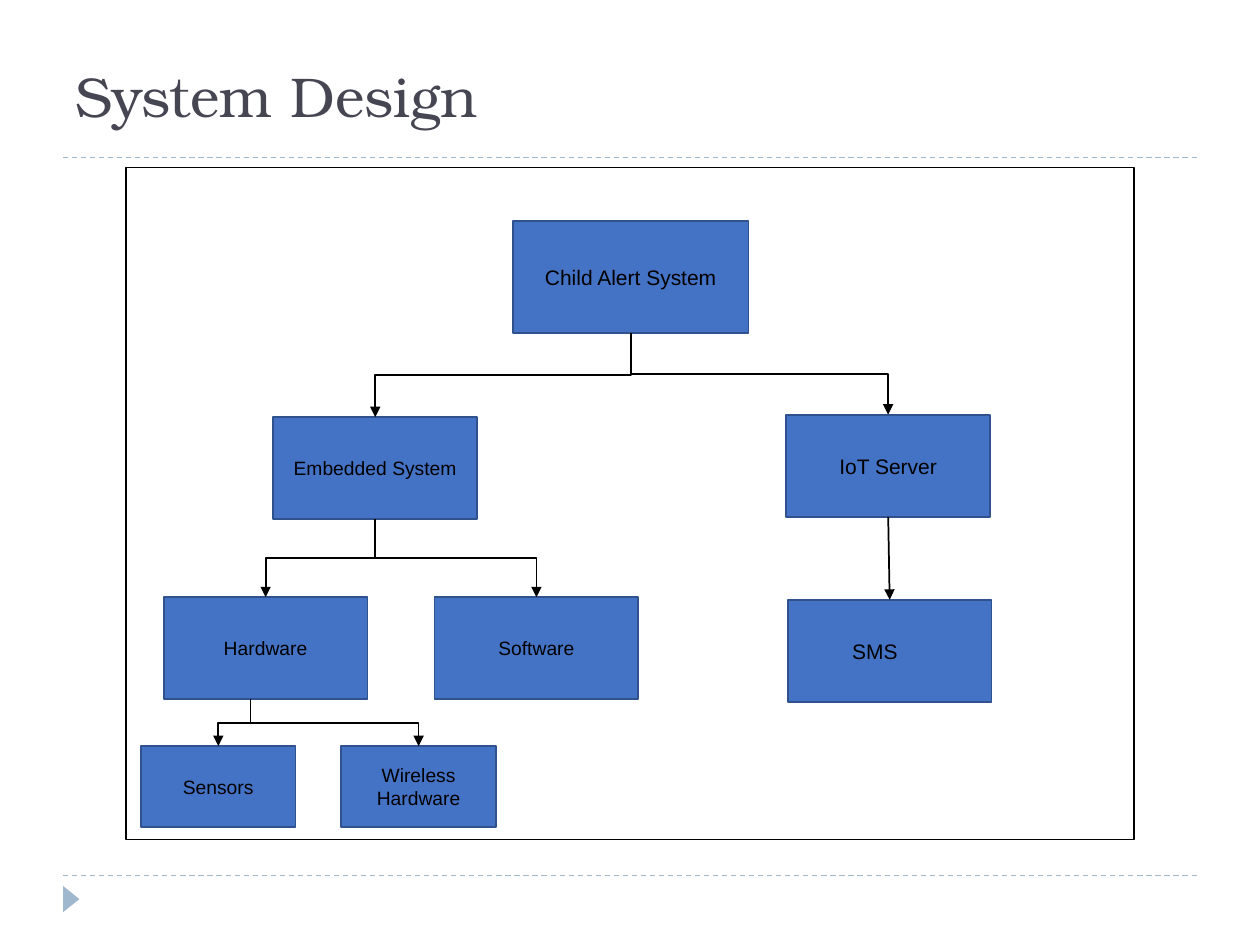
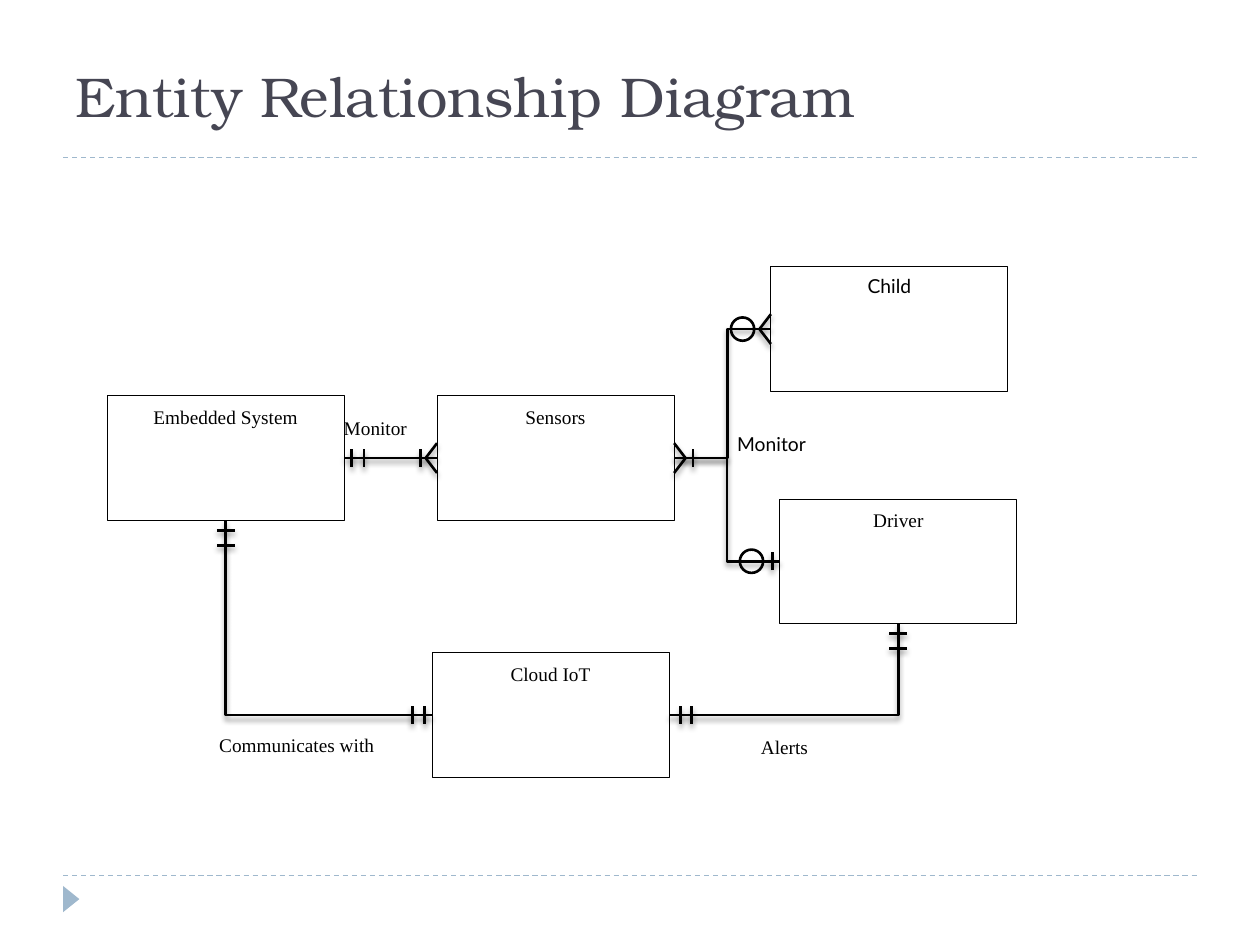
"""Builds two diagram slides: a system design tree and an entity relationship diagram."""
from dataclasses import dataclass

import pptx
import pptx.dml.color
import pptx.enum.dml
import pptx.enum.shapes
import pptx.enum.text
import pptx.oxml.ns
import pptx.util
from lxml import etree

Cm = pptx.util.Cm
Pt = pptx.util.Pt
Preset = pptx.enum.shapes.MSO_SHAPE
Line = pptx.enum.shapes.MSO_CONNECTOR
Align = pptx.enum.text.PP_ALIGN
Anchor = pptx.enum.text.MSO_ANCHOR
qn = pptx.oxml.ns.qn

TOP, LEFT, BOTTOM, RIGHT = range(4)
OUTWARD = {TOP: (0, -1), LEFT: (-1, 0), BOTTOM: (0, 1), RIGHT: (1, 0)}


@dataclass(frozen=True)
class Theme:
    """Holds colours, fonts, type sizes and line widths."""
    accent: str = "9FB8CD"
    heading: str = "464653"
    ink: str = "000000"
    paper: str = "FFFFFF"
    node: str = "4472C4"
    node_edge: str = "2F528F"
    title_font: str = "TeX Gyre Bonum"
    node_font: str = "Arial"
    entity_font: str = "Times New Roman"
    alternate_font: str = "Lato"
    title_size: float = 32
    large: float = 12
    small: float = 11
    hairline: float = 0.5
    thin: float = 0.75
    medium: float = 1
    thick: float = 1.5


def rgb(value):
    """Turns a hex string into a colour."""
    return pptx.dml.color.RGBColor.from_string(value)


def side(shape, site, distance=0):
    """Gives the point at a distance outward from the middle of a side."""
    dx, dy = OUTWARD[site]
    x = shape.left + shape.width * (1 + dx) // 2 + dx * distance
    y = shape.top + shape.height * (1 + dy) // 2 + dy * distance
    return x, y


class Deck:
    """Draws styled elements on the current slide."""

    def __init__(self, theme):
        """Starts a presentation with a theme."""
        self.theme = theme
        self.presentation = pptx.Presentation()
        self.presentation.slide_width = Cm(25.4)
        self.presentation.slide_height = Cm(19.05)
        self.shapes = None

    def start_slide(self, title):
        """Adds a slide with its rules, corner marker and title."""
        theme = self.theme
        slide = self.presentation.slides.add_slide(self.presentation.slide_layouts[6])
        self.shapes = slide.shapes
        for y in (17.65, 3.18):
            rule = self.line((Cm(1.27), Cm(y)), (Cm(24.13), Cm(y)),
                             theme.thin, color=theme.accent)
            rule.line.dash_style = pptx.enum.dml.MSO_LINE.DASH
        marker = self.shape(Preset.ISOSCELES_TRIANGLE, 1.17, 17.96, 0.53, 0.33,
                            fill=theme.accent)
        marker.rotation = 90
        heading = self.shapes.add_textbox(Cm(1.27), Cm(0.64), Cm(22.86), Cm(2.54))
        self.set_text(heading, title, theme.title_font, theme.title_size,
                      theme.heading, anchor=Anchor.MIDDLE)

    def shape(self, preset, x, y, width, height, fill=None, edge=None, weight=1):
        """Adds a preset shape measured in centimetres."""
        shape = self.shapes.add_shape(preset, Cm(x), Cm(y), Cm(width), Cm(height))
        shape.shadow.inherit = False
        if fill:
            shape.fill.solid()
            shape.fill.fore_color.rgb = rgb(fill)
        else:
            shape.fill.background()
        if edge:
            shape.line.color.rgb = rgb(edge)
            shape.line.width = Pt(weight)
        else:
            shape.line.fill.background()
        return shape

    def set_text(self, shape, text, font, size, color=None, align=Align.LEFT, anchor=Anchor.TOP):
        """Sets the text of a shape and returns its paragraph."""
        frame = shape.text_frame
        frame.word_wrap = True
        frame.vertical_anchor = anchor
        paragraph = frame.paragraphs[0]
        paragraph.text = text
        paragraph.alignment = align
        paragraph.font.name = font
        paragraph.font.size = Pt(size)
        paragraph.font.color.rgb = rgb(color or self.theme.ink)
        return paragraph

    def space(self, paragraph, font):
        """Applies the paragraph spacing that goes with a diagram font."""
        loose = font == self.theme.entity_font
        paragraph.line_spacing = 1.15 if loose else 1.07
        paragraph.space_after = Pt(10 if loose else 8)

    def node(self, text, x, y, width=4.11, height=2.06, size=None, align=Align.CENTER):
        """Adds a filled box of the design tree."""
        theme = self.theme
        box = self.shape(Preset.RECTANGLE, x, y, width, height,
                         theme.node, theme.node_edge, theme.medium)
        self.set_text(box, text, theme.node_font, size or theme.small,
                      align=align, anchor=Anchor.MIDDLE)
        return box

    def entity(self, text, x, y, font=None):
        """Adds an entity box with its name at the top."""
        theme = self.theme
        font = font or theme.entity_font
        box = self.shape(Preset.RECTANGLE, x, y, 4.78, 2.51,
                         theme.paper, theme.ink, theme.hairline)
        self.space(self.set_text(box, text, font, theme.small, align=Align.CENTER), font)
        return box

    def label(self, text, x, y, width, font=None):
        """Adds the name of a relationship."""
        font = font or self.theme.entity_font
        box = self.shapes.add_textbox(Cm(x), Cm(y), Cm(width), Cm(1.02))
        self.space(self.set_text(box, text, font, self.theme.small), font)

    def line(self, start, end, weight, color=None, kind=Line.STRAIGHT,
             arrow=False, shadow=False):
        """Adds a connector between two points."""
        connector = self.shapes.add_connector(kind, *start, *end)
        connector.line.color.rgb = rgb(color or self.theme.ink)
        connector.line.width = Pt(weight)
        if arrow:
            etree.SubElement(connector.line._get_or_add_ln(), qn("a:tailEnd"), type="triangle")
        effects = etree.SubElement(connector._element.spPr, qn("a:effectLst"))
        if shadow:
            outer = etree.SubElement(effects, qn("a:outerShdw"), blurRad=str(int(Pt(3))),
                                     dist=str(int(Pt(2))), dir="5400000", rotWithShape="0")
            ink = etree.SubElement(outer, qn("a:srgbClr"), val=self.theme.ink)
            etree.SubElement(ink, qn("a:alpha"), val="40000")
        return connector

    def join(self, source, source_site, target, target_site, **style):
        """Links the sides of two boxes with an attached connector."""
        connector = self.line(side(source, source_site), side(target, target_site), **style)
        connector.begin_connect(source, source_site)
        connector.end_connect(target, target_site)
        return connector

    def turn(self, connector):
        """Makes an elbow leave its start vertically downward."""
        x1, y1 = connector.begin_x, connector.begin_y
        x2, y2 = connector.end_x, connector.end_y
        length, breadth = y2 - y1, abs(x2 - x1)
        frame = connector._element.spPr.find(qn("a:xfrm"))
        for flip in ("flipH", "flipV"):
            frame.attrib.pop(flip, None)
        connector.left = (x1 + x2 - length) // 2
        connector.top = (y1 + y2 - breadth) // 2
        connector.width, connector.height = length, breadth
        if x2 > x1:
            frame.set("flipH", "1")
        frame.set("rot", "16200000" if x2 > x1 else "5400000")

    def bend(self, connector, preset, ratio=None):
        """Sets the elbow form and where its middle part lies."""
        geometry = connector._element.spPr.find(qn("a:prstGeom"))
        geometry.set("prst", preset)
        if ratio:
            etree.SubElement(geometry.find(qn("a:avLst")), qn("a:gd"),
                             name="adj1", fmla=f"val {round(ratio * 100000)}")

    def ticks(self, entity, site, *distances):
        """Draws cardinality bars across a relationship line."""
        dx, dy = OUTWARD[site]
        half = Cm(0.18)
        for distance in distances:
            x, y = side(entity, site, Cm(distance))
            self.line((x - dy * half, y - dx * half), (x + dy * half, y + dx * half),
                      self.theme.thick, shadow=True)

    def crow_foot(self, entity, site):
        """Draws the many sign at the left or right of an entity."""
        x, y = side(entity, site)
        for spread in (Cm(-0.3), Cm(0.3)):
            self.line((x, y + spread), side(entity, site, Cm(0.23)),
                      self.theme.thick, shadow=True)

    def optional_ring(self, entity):
        """Draws the zero sign left of an entity."""
        size = 0.47
        x, y = side(entity, LEFT, Cm(0.57))
        self.shape(Preset.OVAL, pptx.util.Emu(x).cm - size / 2, pptx.util.Emu(y).cm - size / 2,
                   size, size, edge=self.theme.ink, weight=self.theme.thick)


def system_design(deck):
    """Builds the system design tree."""
    theme = deck.theme
    deck.start_slide("System Design")
    deck.shape(Preset.RECTANGLE, 2.54, 3.38, 20.32, 13.54, edge=theme.ink, weight=theme.thin)
    alert_system = deck.node("Child Alert System", 10.34, 4.45, 4.75, 2.26, theme.large)
    embedded = deck.node("Embedded System", 5.51, 8.41)
    server = deck.node("IoT Server", 15.85, 8.36, size=theme.large)
    hardware = deck.node("Hardware", 3.3, 12.04)
    software = deck.node("Software", 8.76, 12.04)
    sensors = deck.node("Sensors", 2.84, 15.04, 3.12, 1.63)
    wireless = deck.node("Wireless Hardware", 6.88, 15.04, 3.12, 1.63)
    messages = deck.node("SMS", 15.88, 12.09, size=theme.large, align=Align.LEFT)
    messages.text_frame.margin_left = Cm(1.3)

    arrow = {"weight": theme.medium, "arrow": True}
    for parent, child in ((alert_system, embedded), (alert_system, server),
                          (embedded, hardware), (embedded, software)):
        deck.turn(deck.join(parent, BOTTOM, child, TOP, kind=Line.ELBOW, **arrow))
    fork = (Cm(5.05), side(hardware, BOTTOM)[1])
    for part in (wireless, sensors):
        branch = deck.line(fork, side(part, TOP), kind=Line.ELBOW, **arrow)
        branch.end_connect(part, TOP)
        deck.turn(branch)
    deck.join(server, BOTTOM, messages, TOP, **arrow)


def entity_relationships(deck):
    """Builds the entity relationship diagram."""
    theme = deck.theme
    deck.start_slide("Entity Relationship Diagram")
    child = deck.entity("Child", 15.54, 5.38, theme.alternate_font)
    driver = deck.entity("Driver", 15.72, 10.06)
    embedded = deck.entity("Embedded System", 2.16, 7.98)
    cloud = deck.entity("Cloud IoT", 8.71, 13.16)
    sensors = deck.entity("Sensors", 8.81, 7.98)

    relation = {"weight": theme.thick, "shadow": True}
    elbow = {"kind": Line.ELBOW, **relation}
    deck.join(embedded, RIGHT, sensors, LEFT, **relation)
    communicates = deck.join(embedded, BOTTOM, cloud, LEFT, **elbow)
    deck.turn(communicates)
    deck.bend(communicates, "bentConnector2")
    for monitored, ratio in ((child, 0.55), (driver, 0.5)):
        deck.bend(deck.join(sensors, RIGHT, monitored, LEFT, **elbow), "bentConnector3", ratio)
    deck.bend(deck.join(cloud, RIGHT, driver, BOTTOM, **elbow), "bentConnector2")

    deck.label("Monitor", 14.61, 8.56, 2.59, theme.alternate_font)
    deck.label("Monitor", 6.68, 8.2, 2.59)
    deck.label("Communicates with", 4.17, 14.58, 5)
    deck.label("Alerts", 15.09, 14.63, 2.08)

    for entity, site, *distances in (
            (embedded, RIGHT, 0.15, 0.4), (embedded, BOTTOM, 0.2, 0.51),
            (sensors, LEFT, 0.33), (sensors, RIGHT, 0.38),
            (cloud, LEFT, 0.15, 0.4), (cloud, RIGHT, 0.23, 0.45),
            (driver, BOTTOM, 0.2, 0.51), (driver, LEFT, 0.15)):
        deck.ticks(entity, site, *distances)
    for entity, site in ((sensors, LEFT), (sensors, RIGHT), (child, LEFT)):
        deck.crow_foot(entity, site)
    for entity in (child, driver):
        deck.optional_ring(entity)


def main():
    """Builds and saves the slides."""
    deck = Deck(Theme())
    system_design(deck)
    entity_relationships(deck)
    deck.presentation.save("out.pptx")


if __name__ == "__main__":
    main()
